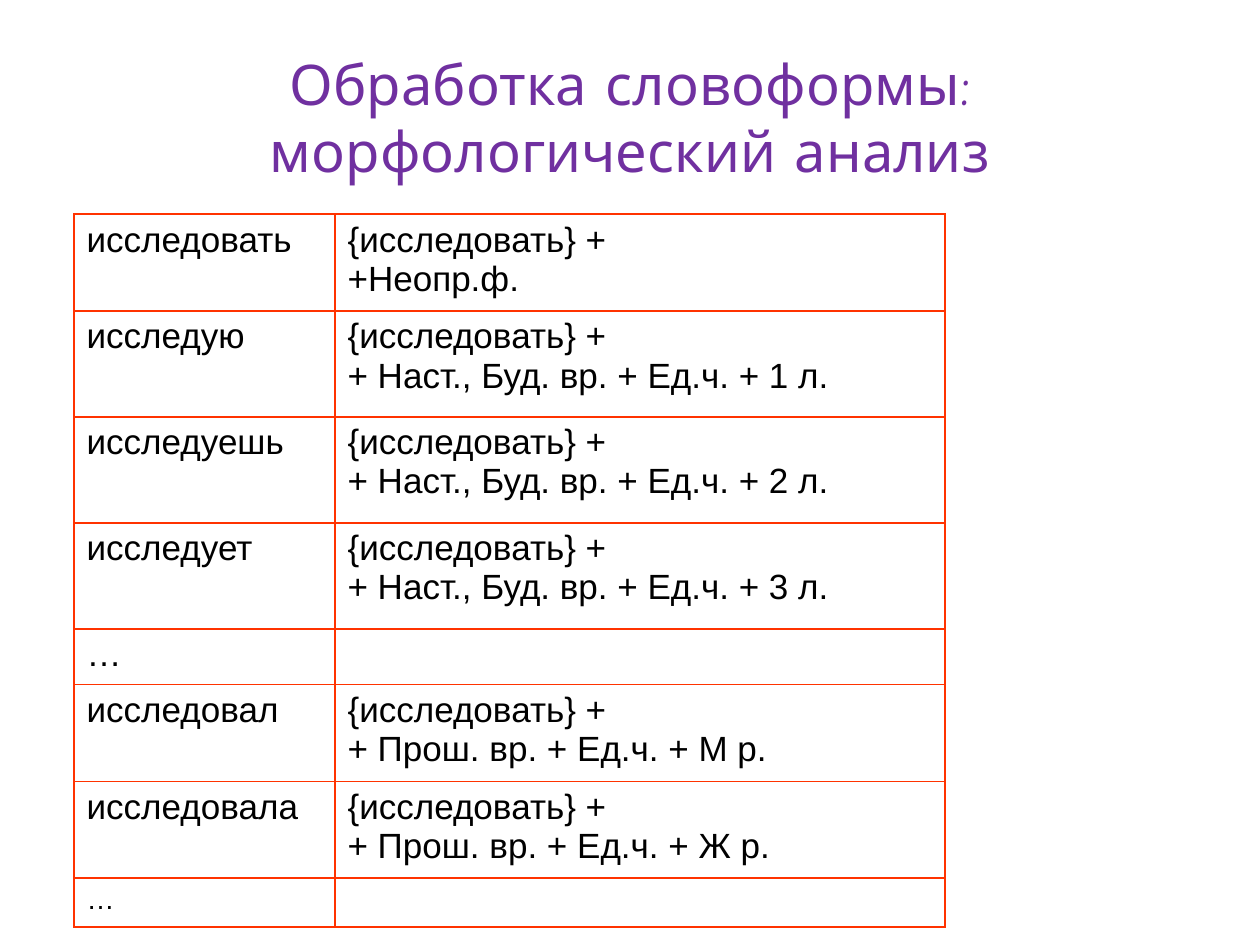
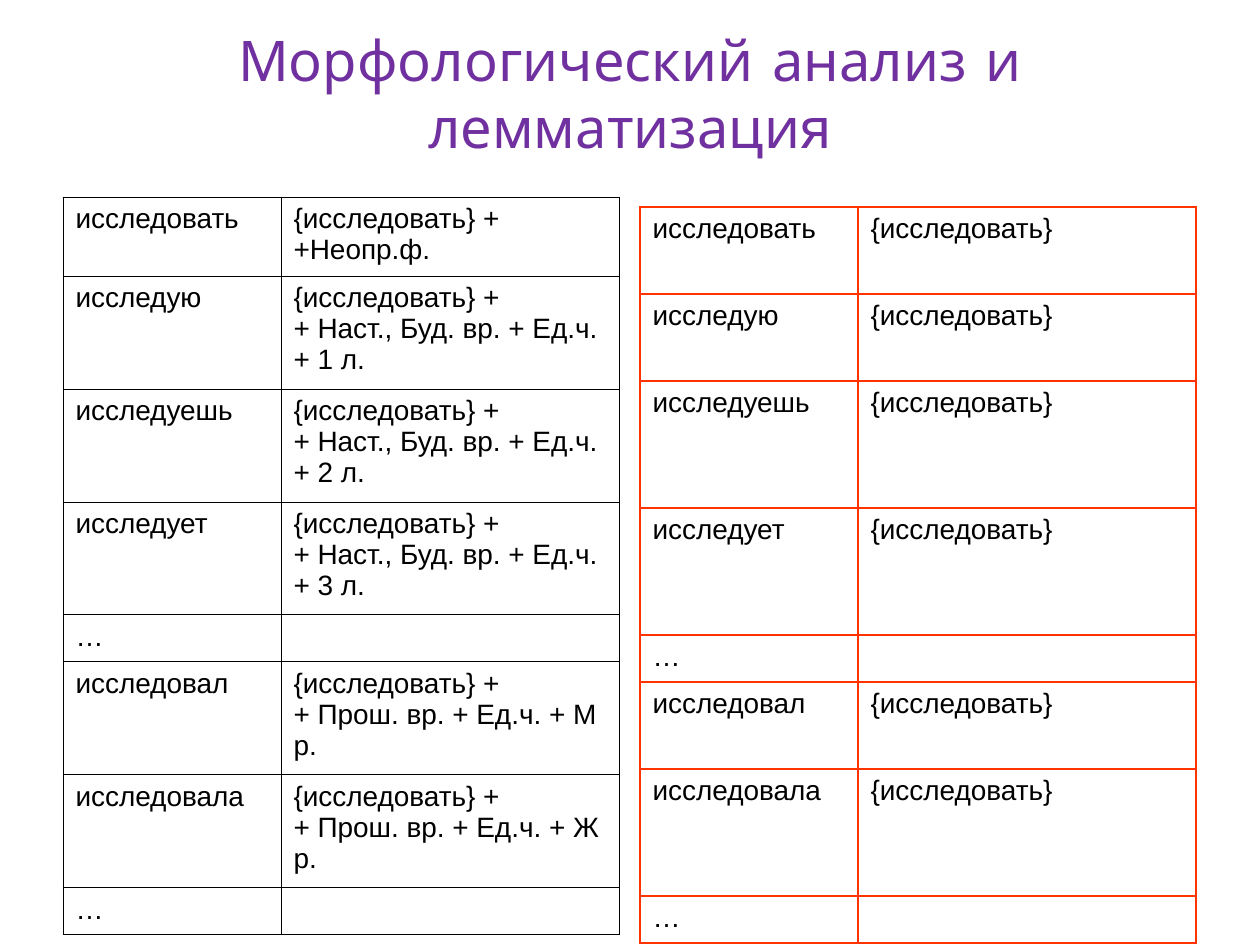
from lxml import etree
from pptx import Presentation
from pptx.dml.color import RGBColor
from pptx.enum.text import MSO_ANCHOR, MSO_AUTO_SIZE, PP_ALIGN
from pptx.oxml.ns import qn
from pptx.util import Emu, Pt

MIDDLE = MSO_ANCHOR.MIDDLE
NO_AUTOFIT = MSO_AUTO_SIZE.NONE
CENTER = PP_ALIGN.CENTER

PURPLE = RGBColor(0x70, 0x30, 0xA0)
BLACK = RGBColor(0x00, 0x00, 0x00)
ORANGE = RGBColor(0xFF, 0x33, 0x00)

PIXELS_PER_INCH = 126
TITLE_ONLY_LAYOUT = 5
TITLE_FORMAT = {"name": "Comic Neue", "size": Pt(32)}
BORDER_SIDES = ("a:lnL", "a:lnR", "a:lnT", "a:lnB")

LEMMA = "{исследовать}"
DOTS = "…"
WORD_FORMS = [
    ("исследовать", "+Неопр.ф."),
    ("исследую", "+ Наст., Буд. вр. + Ед.ч. + 1 л."),
    ("исследуешь", "+ Наст., Буд. вр. + Ед.ч. + 2 л."),
    ("исследует", "+ Наст., Буд. вр. + Ед.ч. + 3 л."),
    (DOTS, ""),
    ("исследовал", "+ Прош. вр. + Ед.ч. + М р."),
    ("исследовала", "+ Прош. вр. + Ед.ч. + Ж р."),
    (DOTS, ""),
]
ANALYSIS_ROWS = [(form, f"{LEMMA} + \v{tags}" if tags else "") for form, tags in WORD_FORMS]
LEMMA_ROWS = [(form, LEMMA if tags else "") for form, tags in WORD_FORMS]


def px(length):
    """Turn a length in px into EMU."""
    return Emu(round(length * 914400 / PIXELS_PER_INCH))


def set_attributes(target, values):
    """Set every attribute in a dict of format values."""
    for name, value in values.items():
        setattr(target, name, value)


def write_text(text_frame, text, font_format, color):
    """Write one paragraph with the same format on runs, breaks and its end."""
    paragraph = text_frame.paragraphs[0]
    paragraph.text = text
    for run in paragraph.runs:
        set_attributes(run.font, font_format)
        run.font.color.rgb = color
    size = str(int(font_format["size"].pt * 100))
    for line_break in paragraph._p.findall(qn("a:br")):
        etree.SubElement(line_break, qn("a:rPr"), sz=size)
    etree.SubElement(paragraph._p, qn("a:endParaRPr"), sz=size)
    return paragraph


def add_titled_slide(presentation, title, height):
    """Add a slide whose centred title fills a box of the given height."""
    slide = presentation.slides.add_slide(presentation.slide_layouts[TITLE_ONLY_LAYOUT])
    shape = slide.shapes.title
    set_attributes(shape, {"left": px(63), "top": px(38), "width": px(1134), "height": px(height)})
    set_attributes(shape.text_frame, {
        "vertical_anchor": MIDDLE, "word_wrap": True, "auto_size": NO_AUTOFIT})
    write_text(shape.text_frame, title, TITLE_FORMAT, PURPLE).alignment = CENTER
    return slide


def add_borders(cell, color, width):
    """Draw a solid line on all four sides of a cell."""
    properties = cell._tc.get_or_add_tcPr()
    for side in BORDER_SIDES:
        line = etree.SubElement(properties, qn(side), w=str(Pt(width)))
        fill = etree.SubElement(line, qn("a:solidFill"))
        etree.SubElement(fill, qn("a:srgbClr"), val=str(color))


def add_word_table(slide, position, widths, heights, rows, border, sizes):
    """Add a bordered table of word forms with one text size per row."""
    left, top = position
    table = slide.shapes.add_table(
        len(rows), len(widths), px(left), px(top), px(sum(widths)), px(sum(heights))).table
    set_attributes(table, {"first_row": False, "horz_banding": False})
    for column, width in zip(table.columns, widths):
        column.width = px(width)
    for row, height, texts, size in zip(table.rows, heights, rows, sizes):
        row.height = px(height)
        for cell, text in zip(row.cells, texts):
            add_borders(cell, *border)
            cell.fill.background()
            font_format = {"name": "Arial", "size": Pt(size)}
            paragraph = write_text(cell.text_frame, text, font_format, BLACK)
            paragraph.space_before = Pt(size / 4)


def add_analysis_slide(presentation):
    """Add the slide on morphological analysis."""
    slide = add_titled_slide(
        presentation, "Обработка словоформы:\vморфологический анализ", 158)
    add_word_table(slide, (74, 214), (261, 610), (97, 106, 106, 106, 54, 97, 97, 49),
                   ANALYSIS_ROWS, (ORANGE, 1.08), [20] * 7 + [16])


def add_lemmatization_slide(presentation):
    """Add the slide that sets analysis beside lemmatization."""
    slide = add_titled_slide(presentation, "Морфологический анализ и лемматизация", 110)
    widths = (218, 338)
    sizes = [16] * len(WORD_FORMS)
    add_word_table(slide, (63, 197), widths, (79, 113, 113, 113, 47, 113, 113, 47),
                   ANALYSIS_ROWS, (BLACK, 0.45), sizes)
    add_word_table(slide, (640, 207), widths, (87, 87, 127, 127, 47, 87, 127, 47),
                   LEMMA_ROWS, (ORANGE, 1.08), sizes)


def main():
    """Build and save the presentation."""
    presentation = Presentation()
    set_attributes(presentation, {"slide_width": px(1260), "slide_height": px(945)})
    add_analysis_slide(presentation)
    add_lemmatization_slide(presentation)
    presentation.save("out.pptx")


if __name__ == "__main__":
    main()
